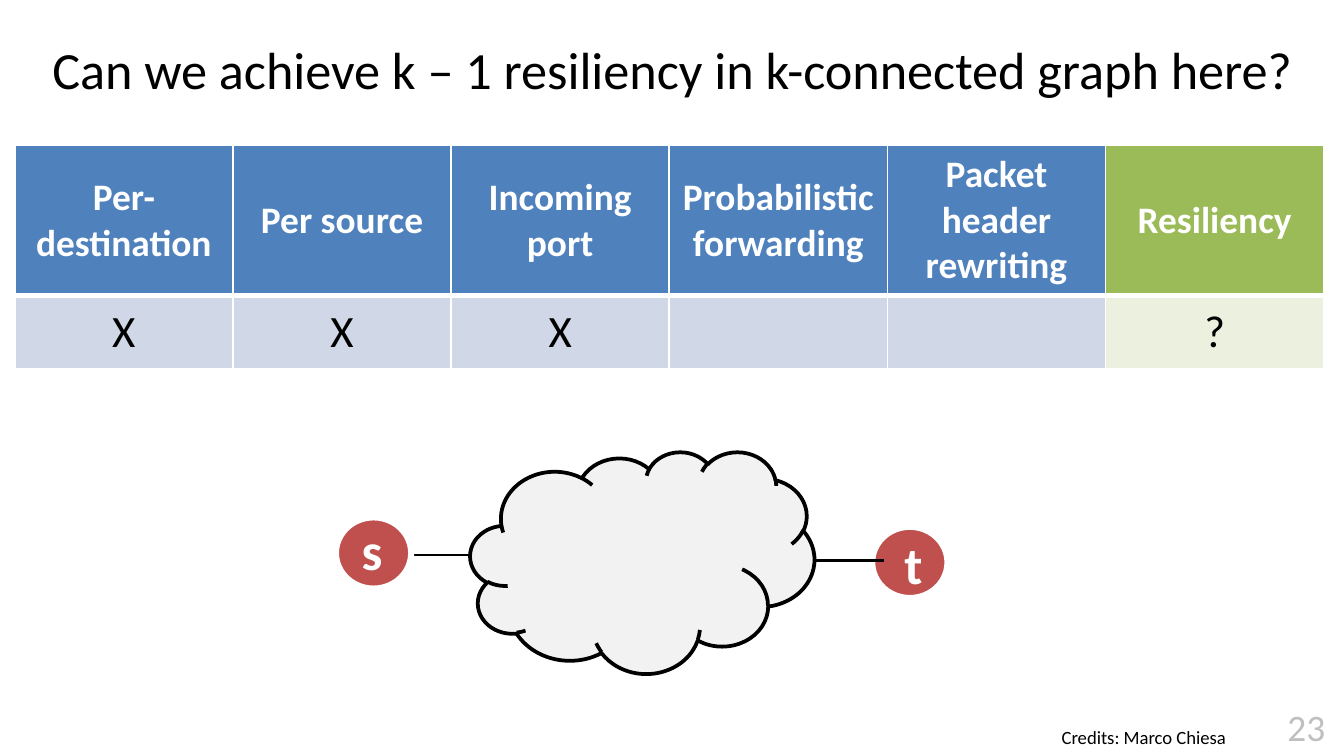
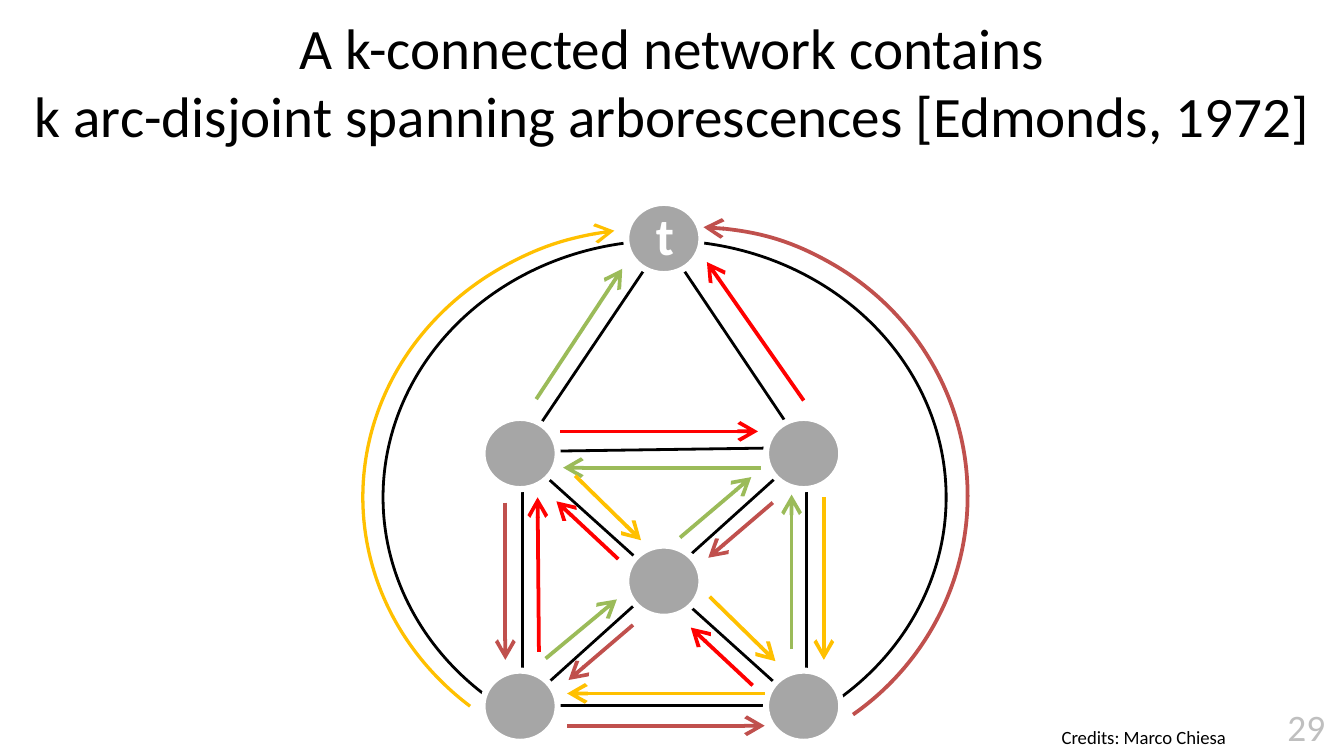
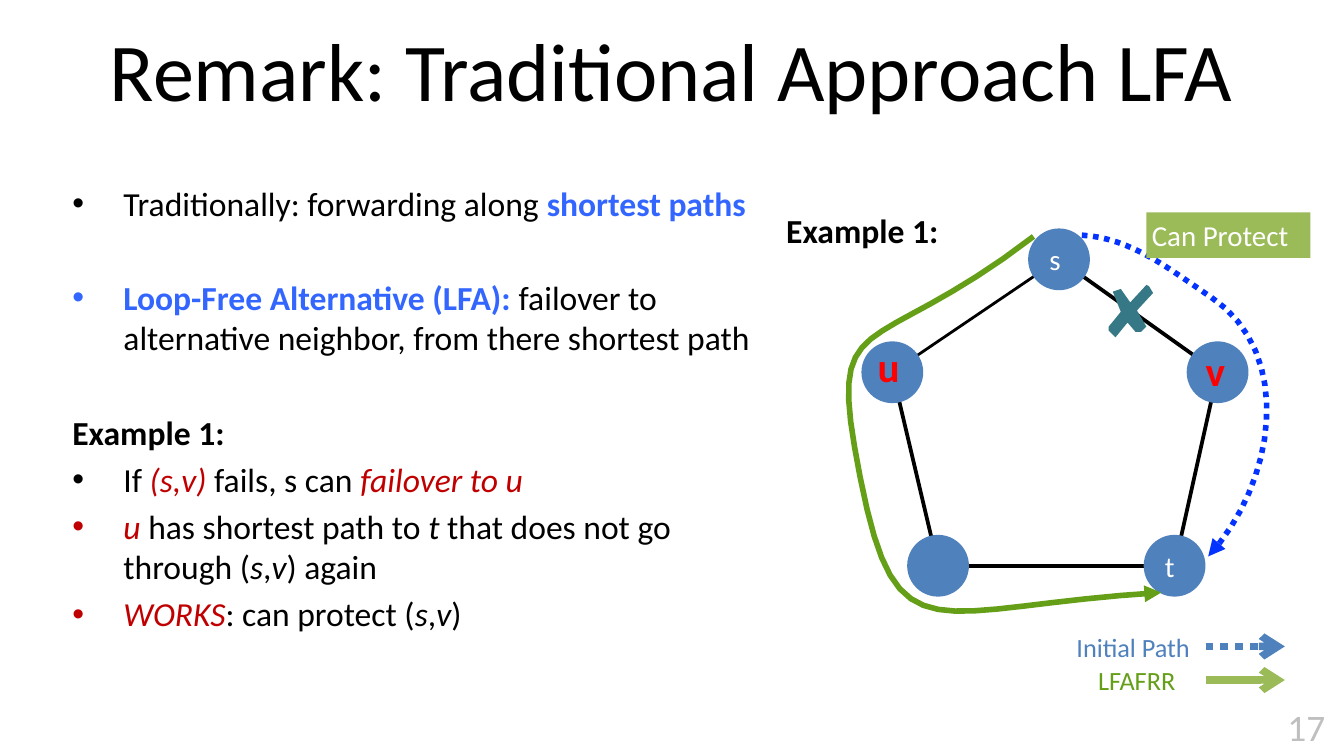
from lxml import etree
from pptx import Presentation
from pptx.dml.color import RGBColor
from pptx.enum import dml, shapes, text
from pptx.oxml import ns
from pptx.util import Inches, Pt

FONT = "Calibri"
BLACK = RGBColor(0x00, 0x00, 0x00)
WHITE = RGBColor(0xFF, 0xFF, 0xFF)
BLUE = RGBColor(0x4F, 0x81, 0xBD)
PALE_BLUE = RGBColor(0xD0, 0xD8, 0xE8)
GREEN = RGBColor(0x9B, 0xBB, 0x59)
PALE_GREEN = RGBColor(0xEB, 0xF1, 0xDE)
BRICK = RGBColor(0xC0, 0x50, 0x4D)
RED = RGBColor(0xFF, 0x00, 0x00)
YELLOW = RGBColor(0xFF, 0xC0, 0x00)
DARK_RED = RGBColor(0xC0, 0x00, 0x00)
LINK_BLUE = RGBColor(0x33, 0x66, 0xFF)
PATH_BLUE = RGBColor(0x04, 0x33, 0xFF)
PATH_GREEN = RGBColor(0x65, 0x9F, 0x18)
TEAL = RGBColor(0x37, 0x78, 0x87)
CLOUD_GRAY = RGBColor(0xF2, 0xF2, 0xF2)
NODE_GRAY = RGBColor(0xA6, 0xA6, 0xA6)
NUMBER_GRAY = RGBColor(0xBF, 0xBF, 0xBF)

LEFT, CENTER = text.PP_ALIGN.LEFT, text.PP_ALIGN.CENTER
TOP, MIDDLE = text.MSO_ANCHOR.TOP, text.MSO_ANCHOR.MIDDLE
OVAL, ARC = shapes.MSO_SHAPE.OVAL, shapes.MSO_SHAPE.ARC
RECTANGLE = shapes.MSO_SHAPE.RECTANGLE
STRAIGHT = shapes.MSO_CONNECTOR.STRAIGHT


def add_run(p, content, size, color, bold=False, italic=False, kern=None):
    r = p.add_run()
    r.text = content
    r.font.name, r.font.size = FONT, Pt(size)
    r.font.bold, r.font.italic = bold, italic
    r.font.color.rgb = color
    if kern is not None:
        r._r.get_or_add_rPr().set("kern", str(kern))


def style_line(sp, color, width, arrow=None, end="tailEnd", dash=None, head="med"):
    """Set the outline, drop the shadow, and add an arrowhead if asked."""
    sp.line.color.rgb = color
    sp.line.width = Pt(width)
    if dash:
        sp.line.dash_style = dash
    if arrow:
        ln = sp.line._get_or_add_ln()
        etree.SubElement(ln, ns.qn("a:" + end), type=arrow, w=head, len=head)
    etree.SubElement(sp._element.spPr, ns.qn("a:effectLst"))


prs = Presentation()
prs.slide_width = Inches(10)
prs.slide_height = prs.slide_width * 9 // 16

# Titles
titles = [
    (0, 0.04, 10, 28, ["Can we achieve k – 1 resiliency in k-connected graph here?"]),
    (0, 0.13, 10, 30.6, ["A k-connected network contains",
                         "k arc-disjoint spanning arborescences [Edmonds, 1972]"]),
    (0.5, 0.04, 9, 44, ["Remark: Traditional Approach LFA"]),
]
for x, y, w, size, lines in titles:
    s = prs.slides.add_slide(prs.slide_layouts[5])
    title = s.shapes.title
    title.left, title.top = Inches(x), Inches(y)
    title.width, title.height = Inches(w), Inches(0.94)
    tf = title.text_frame
    tf.auto_size = text.MSO_AUTO_SIZE.NONE
    tf.vertical_anchor = MIDDLE
    p = tf.paragraphs[0]
    p.alignment = CENTER
    for i, line in enumerate(lines):
        if i:
            p.add_line_break()
        add_run(p, line, size, BLACK, kern=0)
question, arborescences, remark = prs.slides

# Slide 1: table
headers = ["Per-destination", "Per source", "Incoming port",
           "Probabilistic forwarding", "Packet header rewriting", "Resiliency"]
marks = ["X", "X", "X", "", "", "?"]
table = question.shapes.add_table(2, 6, Inches(0.11), Inches(1.08),
                                  Inches(9.74), Inches(1.64)).table
for column in table.columns:
    column.width = Inches(9.74 / 6)
rows = [(headers, 0.84, 20, WHITE, True, BLUE, GREEN, 3),
        (marks, 0.54, 24, BLACK, False, PALE_BLUE, PALE_GREEN, 1)]
for i, (words, height, size, color, bold, fill, last_fill, bottom) in enumerate(rows):
    table.rows[i].height = Inches(height)
    for j, word in enumerate(words):
        cell = table.cell(i, j)
        cell.margin_left = cell.margin_right = Inches(0.08)
        cell.vertical_anchor = MIDDLE
        top = 3 if i else 1
        for side, width in (("L", 1), ("R", 1), ("T", top), ("B", bottom)):
            ln = etree.SubElement(cell._tc.get_or_add_tcPr(),
                                  ns.qn("a:ln" + side), w=str(Pt(width)))
            solid = etree.SubElement(ln, ns.qn("a:solidFill"))
            etree.SubElement(solid, ns.qn("a:srgbClr"), val=str(WHITE))
        cell.fill.solid()
        cell.fill.fore_color.rgb = last_fill if j == 5 else fill
        p = cell.text_frame.paragraphs[0]
        p.alignment = CENTER
        if word:
            add_run(p, word, size, color, bold)

# Links, drawn under the nodes: slide, from, to, width
links = [
    (question, 3.74, 4.13, 2.71, 4.13, 1.5),
    (arborescences, 3.89, 5.25, 6, 5.25, 1.5),
    (arborescences, 4.94, 1.79, 6, 3.37, 1.5),
    (arborescences, 3.89, 3.39, 3.89, 5.25, 1.5),
    (arborescences, 4.94, 1.79, 3.89, 3.35, 1.5),
    (arborescences, 6, 3.35, 6, 5.25, 1.5),
    (arborescences, 6, 3.33, 3.89, 3.36, 1.5),
    (arborescences, 6, 3.35, 3.89, 5.25, 1.5),
    (arborescences, 6.02, 5.31, 3.91, 3.41, 1.5),
    (remark, 6.64, 2.77, 7.88, 1.93, 1.5),
    (remark, 7.88, 1.93, 9.06, 2.77, 2),
    (remark, 8.74, 4.21, 9.06, 2.77, 2),
    (remark, 6.98, 4.21, 8.74, 4.21, 2),
    (remark, 6.98, 4.21, 6.64, 2.77, 2),
]
for s, x1, y1, x2, y2, width in links:
    link = s.shapes.add_connector(STRAIGHT, Inches(x1), Inches(y1), Inches(x2), Inches(y2))
    style_line(link, BLACK, width)

# Slide 2: arcs, with start and end angles in degrees
arcs = [
    (2.85, 1.79, 4.19, 3.82, 272, 52.5, BLACK, 1.5, None, "tailEnd"),
    (2.85, 1.79, 4.19, 3.82, 125, 270, BLACK, 1.5, None, "tailEnd"),
    (2.7, 1.7, 4.3, 4, 131, 262, YELLOW, 1.75, "arrow", "tailEnd"),
    (3.13, 1.69, 4.07, 4, 272, 54, BRICK, 2, "arrow", "headEnd"),
]
for x, y, w, h, start, stop, color, width, arrow, end in arcs:
    arc = arborescences.shapes.add_shape(ARC, Inches(x), Inches(y), Inches(w), Inches(h))
    arc.adjustments[0], arc.adjustments[1] = start * 0.6, stop * 0.6
    arc.fill.background()
    style_line(arc, color, width, arrow, end, head="lg")

# Nodes of slides 1 and 2, with a white rim that cuts the links short
nodes = [(question, 6.49, 3.92, BRICK), (question, 2.5, 3.85, BRICK)]
for x, y in [(4.66, 1.51), (3.59, 3.11), (5.7, 3.11), (4.66, 4.06), (3.59, 4.99), (5.7, 4.99)]:
    nodes.append((arborescences, x, y, NODE_GRAY))
for s, x, y, color in nodes:
    node = s.shapes.add_shape(OVAL, Inches(x), Inches(y), Inches(0.56), Inches(0.53))
    node.fill.solid()
    node.fill.fore_color.rgb = color
    style_line(node, WHITE, 3.25)

# Slide 1: link over node t, then the cloud
link = question.shapes.add_connector(STRAIGHT, Inches(6.58), Inches(4.17),
                                     Inches(5.55), Inches(4.17))
style_line(link, BLACK, 1.5)
cloud = question.shapes.add_shape(shapes.MSO_SHAPE.CLOUD, Inches(3.5), Inches(3.36),
                                  Inches(2.56), Inches(1.65))
cloud.fill.solid()
cloud.fill.fore_color.rgb = CLOUD_GRAY
style_line(cloud, BLACK, 2)

# Slide 2: one colour of arrows per arborescence, each arrow from tail to tip
trees = {
    RED: [(4.17, 3.21, 5.64, 3.21), (4.6, 4.16, 4.14, 3.73), (5.6, 5.1, 5.14, 4.67),
          (5.98, 2.98, 5.26, 1.95), (4.01, 4.85, 4, 3.7)],
    BRICK: [(4.22, 5.4, 5.69, 5.4), (3.76, 3.74, 3.76, 4.91),
            (4.71, 4.65, 4.23, 5.06), (5.75, 3.74, 5.27, 4.15)],
    GREEN: [(5.66, 3.48, 4.19, 3.48), (4.06, 4.9, 4.59, 4.46), (5.06, 4, 5.59, 3.55),
            (3.99, 2.97, 4.63, 2), (5.89, 4.83, 5.89, 3.68)],
    YELLOW: [(5.69, 5.16, 4.22, 5.16), (6.13, 3.7, 6.13, 4.91),
             (4.28, 3.54, 4.77, 4.02), (5.28, 4.44, 5.77, 4.92)],
}
for color, arrows in trees.items():
    for ends in arrows:
        arrow = arborescences.shapes.add_connector(STRAIGHT, *[Inches(v) for v in ends])
        style_line(arrow, color, 2, "arrow", head="lg")

# Slide 3: body text
bullets = [
    (True, 0, [("Traditionally: forwarding along ", BLACK, False, False),
               ("shortest paths", LINK_BLUE, True, False)]),
    (True, 29, [("Loop-Free Alternative (LFA): ", LINK_BLUE, True, False),
                ("failover to alternative neighbor, from there shortest path",
                 BLACK, False, False)]),
    (False, 29, [("Example 1:", BLACK, True, False)]),
    (True, 3.6, [("If ", BLACK, False, False), ("(s,v)", DARK_RED, False, True),
                 (" fails, s can ", BLACK, False, False),
                 ("failover to u", DARK_RED, False, True)]),
    (True, 3.6, [("u", DARK_RED, False, True),
                 (" has shortest path to ", BLACK, False, False),
                 ("t", BLACK, False, True),
                 (" that does not go through (", BLACK, False, False),
                 ("s", BLACK, False, True), (",", BLACK, False, False),
                 ("v", BLACK, False, True), (") again", BLACK, False, False)]),
    (True, 3.6, [("WORKS", DARK_RED, False, True), (": can protect (", BLACK, False, False),
                 ("s", BLACK, False, True), (",", BLACK, False, False),
                 ("v", BLACK, False, True), (")", BLACK, False, False)]),
]
tf = remark.shapes.add_textbox(Inches(0.44), Inches(1.31), Inches(5.51),
                               Inches(3.84)).text_frame
tf.word_wrap = True
for i, (bulleted, before, runs) in enumerate(bullets):
    p = tf.paragraphs[0] if i == 0 else tf.add_paragraph()
    if bulleted:
        pPr = p._p.get_or_add_pPr()
        pPr.set("marL", str(Inches(0.38)))
        pPr.set("indent", str(-Inches(0.38)))
        etree.SubElement(pPr, ns.qn("a:buFont"), typeface="Arial")
        etree.SubElement(pPr, ns.qn("a:buChar"), char="•")
    if before:
        p.space_before = Pt(before)
    for content, color, bold, italic in runs:
        add_run(p, content, 18, color, bold, italic, kern=0)

# Slide 3: ring nodes, and last the verdict tag
plates = [(OVAL, x, y, 0.46, 0.46, name, 0.09, BLUE) for x, y, name in
          [(7.65, 1.7, "s"), (8.83, 2.54, ""), (6.41, 2.54, ""), (6.75, 3.98, ""),
           (8.51, 3.98, "t")]]
plates.append((RECTANGLE, 8.53, 1.58, 1.22, 0.34, "Can Protect", 0.04, GREEN))
for kind, x, y, w, h, name, margin, color in plates:
    sp = remark.shapes.add_shape(kind, Inches(x), Inches(y), Inches(w), Inches(h))
    sp.shadow.inherit = False
    sp.fill.solid()
    sp.fill.fore_color.rgb = color
    sp.line.fill.background()
    if name:
        tf = sp.text_frame
        tf.margin_left = Inches(margin)
        tf.margin_top = tf.margin_right = tf.margin_bottom = Inches(0.04)
        tf.paragraphs[0].alignment = LEFT
        add_run(tf.paragraphs[0], name, 15.5, WHITE)
tag = sp

# Slide 3: cross on the failed link
outline = [(8.53, 2.12), (8.41, 2.25), (8.34, 2.15), (8.31, 2.16), (8.28, 2.17), (8.34, 2.32),
           (8.25, 2.43), (8.25, 2.46), (8.28, 2.49), (8.3, 2.51), (8.39, 2.4), (8.45, 2.47),
           (8.49, 2.47), (8.53, 2.43), (8.46, 2.31), (8.58, 2.18), (8.55, 2.13)]
points = [(Inches(x), Inches(y)) for x, y in outline]
builder = remark.shapes.build_freeform(*points[0])
builder.add_line_segments(points[1:], close=True)
cross = builder.convert_to_shape()
cross.shadow.inherit = False
cross.fill.solid()
cross.fill.fore_color.rgb = TEAL
cross.line.fill.background()

# Slide 3: curved paths, Bezier segments sampled in even steps
curves = [
    ([(8.05, 1.75), (8.42, 1.77), (8.71, 2.01), (9.01, 2.21),
      (9.64, 2.63), (9.49, 3.6), (8.99, 4.14)], PATH_BLUE, dml.MSO_LINE.ROUND_DOT),
    ([(7.69, 1.76), (6.44, 2.72), (6.14, 2.24), (6.4, 3.55),
      (6.67, 4.93), (6.93, 4.51), (8.64, 4.41)], PATH_GREEN, None),
]
STEPS = 16
for controls, color, dash in curves:
    points = []
    for k in range(0, len(controls) - 1, 3):
        for step in range(1, STEPS + 1):
            t = step / STEPS
            weights = ((1 - t) ** 3, 3 * t * (1 - t) ** 2, 3 * t * t * (1 - t), t ** 3)
            points.append([Inches(sum(c * pt[axis] for c, pt in zip(weights, controls[k:k + 4])))
                           for axis in (0, 1)])
    builder = remark.shapes.build_freeform(*[Inches(v) for v in controls[0]])
    builder.add_line_segments(points, close=False)
    curve = builder.convert_to_shape()
    curve.fill.background()
    style_line(curve, color, 3, "triangle", dash=dash)

# The tag lies over the dotted path
remark.shapes._spTree.append(tag._element)

# Slide 3: legend arrows
for y, color, dash in [(4.81, BLUE, dml.MSO_LINE.ROUND_DOT), (5.06, GREEN, None)]:
    arrow = remark.shapes.add_connector(STRAIGHT, Inches(8.97), Inches(y),
                                        Inches(9.56), Inches(y))
    style_line(arrow, color, 4, "arrow", dash=dash)

# Labels, credits and slide numbers
labels = [
    (question, 6.68, 3.91, 0.43, 0.57, "t", 28, WHITE, True, LEFT, TOP),
    (question, 2.64, 3.81, 0.43, 0.57, "s", 28, WHITE, True, LEFT, TOP),
    (arborescences, 4.83, 1.46, 0.43, 0.57, "t", 28, WHITE, True, LEFT, TOP),
    (remark, 6.48, 2.49, 0.4, 0.5, "u", 22, RED, True, LEFT, TOP),
    (remark, 8.92, 2.52, 0.4, 0.5, "v", 22, RED, True, LEFT, TOP),
    (remark, 5.8, 1.51, 1.6, 0.6, "Example 1:", 18, BLACK, True, LEFT, TOP),
    (remark, 7.96, 4.65, 1, 0.32, "Initial Path", 14.1, BLUE, False, LEFT, MIDDLE),
    (remark, 8.12, 4.9, 0.85, 0.32, "LFAFRR", 14.1, PATH_GREEN, False, LEFT, MIDDLE),
]
for s in (question, arborescences):
    labels.append((s, 7.31, 5.29, 2.4, 0.33, "Credits: Marco Chiesa", 10, BLACK,
                   False, CENTER, TOP))
for s, number in zip(prs.slides, ("23", "29", "17")):
    labels.append((s, 9.53, 5.19, 0.47, 0.43, number, 20, NUMBER_GRAY, False, LEFT, TOP))
for s, x, y, w, h, content, size, color, bold, align, anchor in labels:
    if content.startswith("Credits"):
        y, h, anchor = 5.29, 0.39, MIDDLE
    tf = s.shapes.add_textbox(Inches(x), Inches(y), Inches(w), Inches(h)).text_frame
    tf.word_wrap = True
    tf.margin_left = tf.margin_right = tf.margin_top = tf.margin_bottom = Inches(0.05)
    tf.vertical_anchor = anchor
    tf.paragraphs[0].alignment = align
    add_run(tf.paragraphs[0], content, size, color, bold)

prs.save("out.pptx")
